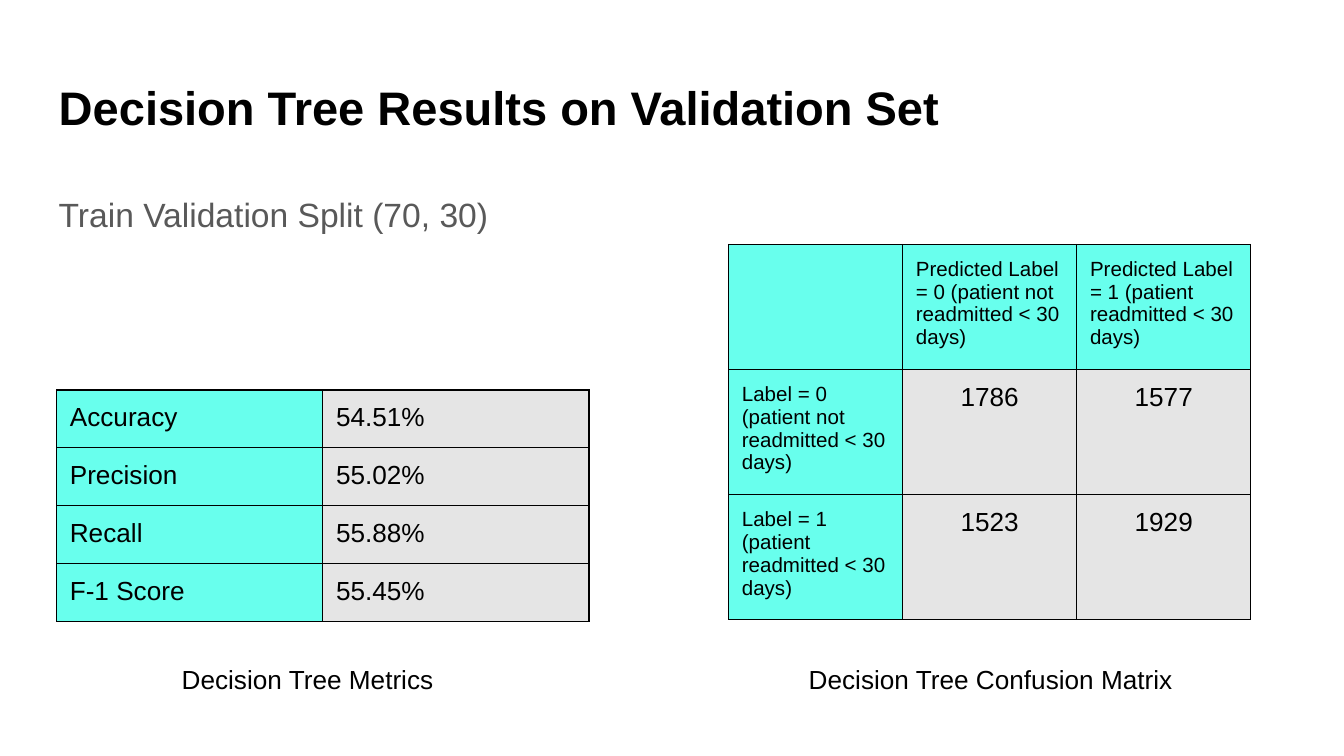
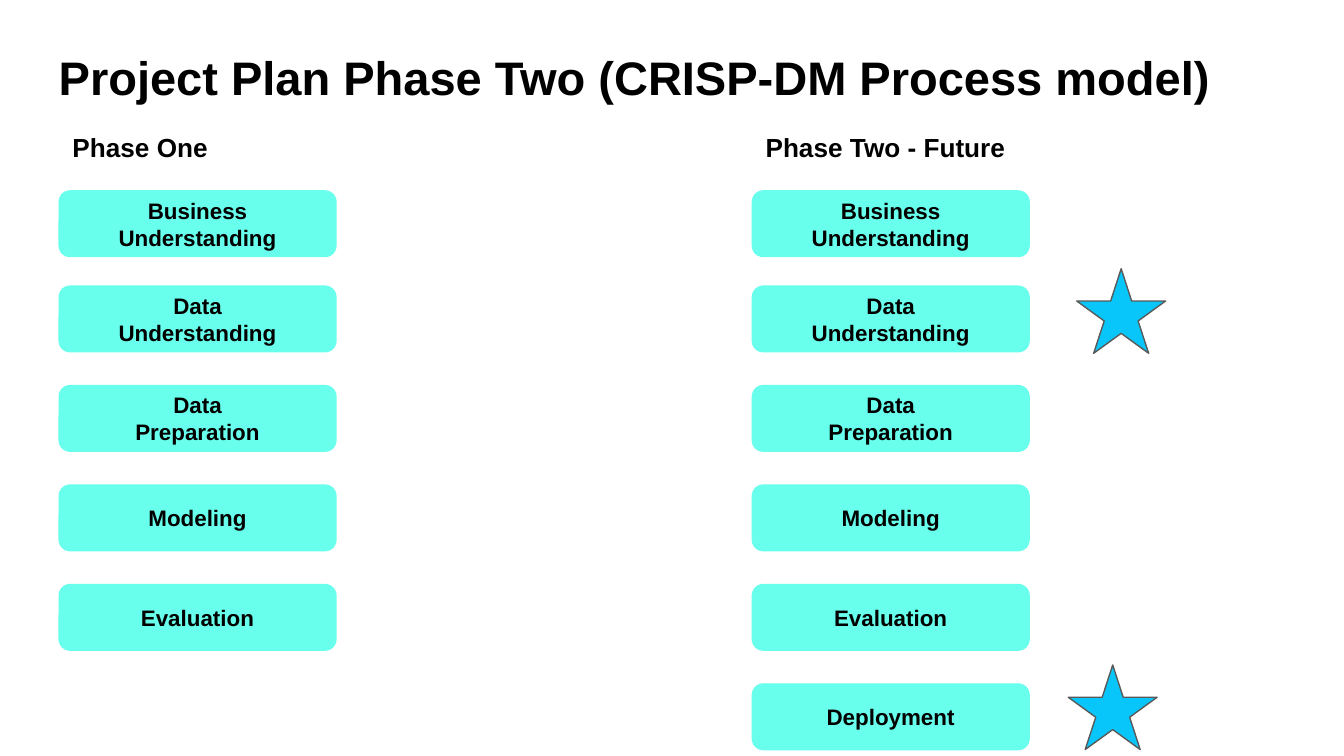
from pptx import Presentation
from pptx.dml.color import RGBColor
from pptx.enum.shapes import MSO_SHAPE as SHAPE
from pptx.enum.text import MSO_ANCHOR as ANCHOR, MSO_AUTO_SIZE as AUTO, PP_ALIGN as ALIGN
from pptx.oxml import parse_xml
from pptx.oxml.ns import nsdecls
from pptx.util import Cm, Pt

AQUA = "68FFED"
GREY = "E5E5E5"
BLUE = "08C6F9"
BLACK = "000000"
DARK = "595959"
INSET = Cm(0.25)


def rgb(value):
    return RGBColor.from_string(value)


def write(tf, lines, size, bold=False, color=BLACK, align=ALIGN.LEFT):
    for i, line in enumerate(lines):
        p = tf.paragraphs[0] if i == 0 else tf.add_paragraph()
        p.alignment = align
        r = p.add_run()
        r.text = line
        r.font.name = "Arial"
        r.font.size = Pt(size)
        r.font.bold = bold
        r.font.color.rgb = rgb(color)


prs = Presentation()
prs.slide_width, prs.slide_height = Cm(25.4), Cm(14.29)

slides = []
for title, top in [
    ("Decision Tree Results on Validation Set", 1.24),
    ("Project Plan Phase Two (CRISP-DM Process model)", 0.66),
]:
    s = prs.slides.add_slide(prs.slide_layouts[5])
    sp = s.shapes.title
    sp.left, sp.top, sp.width, sp.height = Cm(0.86), Cm(top), Cm(23.67), Cm(1.6)
    tf = sp.text_frame
    tf.auto_size = AUTO.NONE
    tf.vertical_anchor = ANCHOR.TOP
    tf.margin_left = tf.margin_right = tf.margin_top = tf.margin_bottom = INSET
    write(tf, [title], 25.2, bold=True)
    slides.append(s)
results, plan = slides

for s, text, x, y, w, h, size, bold, color, align, spacing in [
    (results, "Train Validation Split (70, 30)", 0.86, 3.3, 23.67, 9.5, 18, False, DARK, ALIGN.LEFT, 1.15),
    (results, "Decision Tree Metrics", 2.03, 12.29, 7.57, 0.74, 14, False, BLACK, ALIGN.CENTER, 1),
    (results, "Decision Tree Confusion Matrix", 14.94, 12.29, 7.57, 0.74, 14, False, BLACK, ALIGN.CENTER, 1),
    (plan, "Phase One", 1.12, 2.24, 4.04, 0.81, 14, True, BLACK, ALIGN.LEFT, 1),
    (plan, "Phase Two - Future", 14.22, 2.24, 6.73, 0.81, 14, True, BLACK, ALIGN.LEFT, 1),
]:
    sp = s.shapes.add_textbox(Cm(x), Cm(y), Cm(w), Cm(h))
    tf = sp.text_frame
    tf.word_wrap = True
    tf.margin_left = tf.margin_right = tf.margin_top = tf.margin_bottom = INSET
    write(tf, [text], size, bold, color, align)
    tf.paragraphs[0].line_spacing = spacing

confusion = [
    ["", "Predicted Label = 0 (patient not readmitted < 30 days)",
     "Predicted Label = 1 (patient readmitted < 30 days)"],
    ["Label = 0 (patient not readmitted < 30 days)", "1786", "1577"],
    ["Label = 1 (patient readmitted < 30 days)", "1523", "1929"],
]
metrics = [
    ["Accuracy", "54.51%"],
    ["Precision", "55.02%"],
    ["Recall", "55.88%"],
    ["F-1 Score", "55.45%"],
]

for data, x, y, col_w, row_h, header_rows, label_size, align in [
    (confusion, 13.77, 4.62, 3.29, 1.47, 1, 11, ALIGN.CENTER),
    (metrics, 1.07, 7.37, 5.03, 1.06, 0, 14, ALIGN.LEFT),
]:
    rows, cols = len(data), len(data[0])
    table = results.shapes.add_table(
        rows, cols, Cm(x), Cm(y), Cm(col_w * cols), Cm(row_h * rows)).table
    table.first_row = table.horz_banding = False
    for col in table.columns:
        col.width = Cm(col_w)
    for i, row in enumerate(data):
        table.rows[i].height = Cm(row_h)
        for j, text in enumerate(row):
            cell = table.cell(i, j)
            label = i < header_rows or j == 0
            cell.margin_left = cell.margin_right = INSET
            cell.margin_top = cell.margin_bottom = INSET
            for side in ("lnL", "lnR", "lnT", "lnB"):
                cell._tc.get_or_add_tcPr().append(parse_xml(
                    f'<a:{side} {nsdecls("a")} w="{Pt(0.75)}"><a:solidFill>'
                    f'<a:srgbClr val="{BLACK}"/></a:solidFill></a:{side}>'))
            cell.fill.solid()
            cell.fill.fore_color.rgb = rgb(AQUA if label else GREY)
            if text:
                write(cell.text_frame, [text], label_size if label else 14,
                      align=ALIGN.LEFT if label else align)

steps = [
    ["Business Understanding"],
    ["Data", "Understanding"],
    ["Data", "Preparation"],
    ["Modeling"],
    ["Evaluation"],
    ["Deployment"],
]
step_tops = [3.61] + [5.41 + 1.88 * i for i in range(5)]

for x, count in [(1.12, 5), (14.22, 6)]:
    for lines, y in zip(steps[:count], step_tops):
        sp = plan.shapes.add_shape(
            SHAPE.ROUNDED_RECTANGLE, Cm(x), Cm(y), Cm(5.23), Cm(1.24))
        sp.shadow.inherit = False
        sp.fill.solid()
        sp.fill.fore_color.rgb = rgb(AQUA)
        sp.line.color.rgb = rgb(AQUA)
        sp.line.width = Pt(0.75)
        tf = sp.text_frame
        tf.word_wrap = True
        tf.vertical_anchor = ANCHOR.MIDDLE
        tf.margin_left = tf.margin_right = tf.margin_top = tf.margin_bottom = INSET
        write(tf, lines, 12, bold=True, align=ALIGN.CENTER)

for x, y in [(20.19, 12.57), (20.35, 5.08)]:
    sp = plan.shapes.add_shape(SHAPE.STAR_5_POINT, Cm(x), Cm(y), Cm(1.68), Cm(1.6))
    sp.shadow.inherit = False
    sp.fill.solid()
    sp.fill.fore_color.rgb = rgb(BLUE)
    sp.line.color.rgb = rgb(DARK)
    sp.line.width = Pt(0.75)

prs.save("out.pptx")
